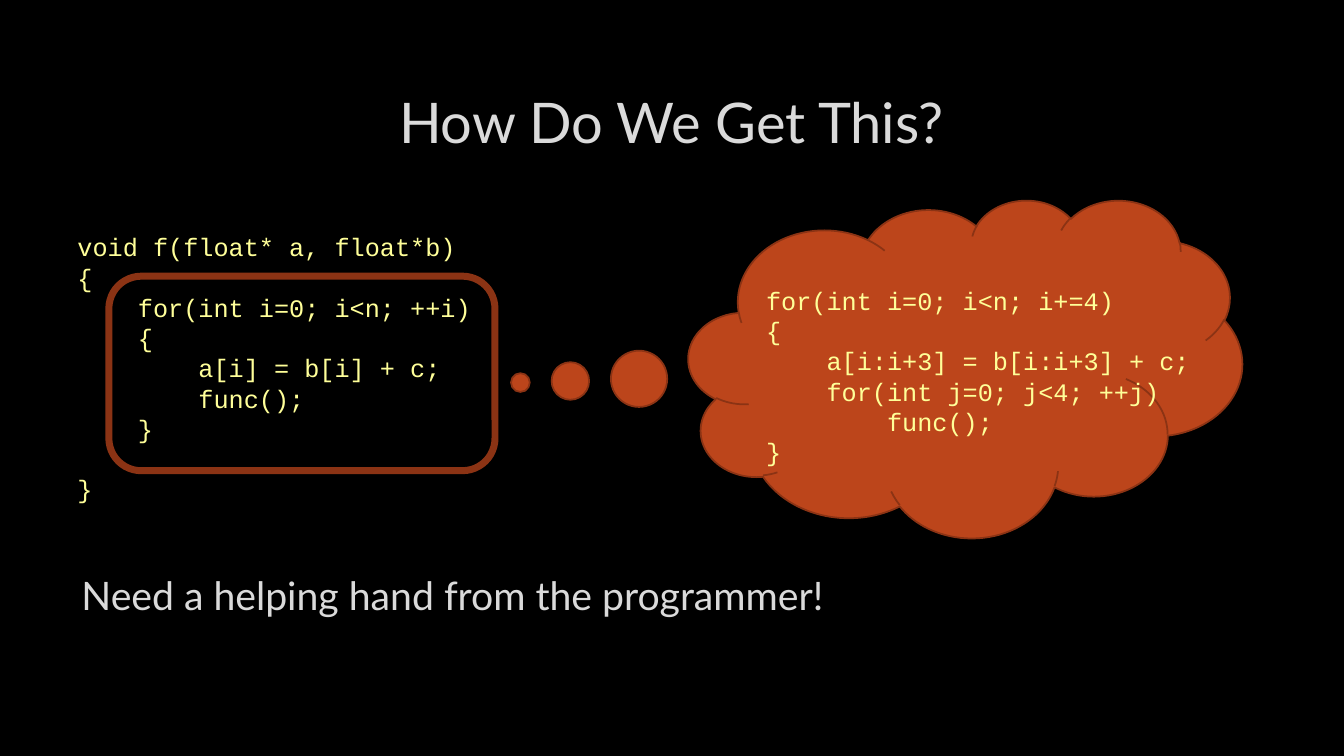
from typing import NamedTuple

from lxml import etree
from pptx import Presentation
from pptx.dml.color import RGBColor
from pptx.enum import shapes, text
from pptx.oxml import ns
from pptx.util import Inches, Pt

BACKGROUND = "000000"
HEADING = "DADADA"
CODE = "FFFF99"
CLOUD = "BC451B"
BORDER = "8B3314"
GLYPH_EDGE = "404040"


class Box(NamedTuple):
    left: float
    top: float
    width: float
    height: float

    def lengths(self) -> tuple:
        return tuple(Inches(value) for value in self)


class Listing(NamedTuple):
    box: Box
    lines: tuple
    gap_before_last: float = 0


class Outline(NamedTuple):
    preset: shapes.MSO_SHAPE
    box: Box
    line_width: float
    fill: str = ""
    adjustments: tuple = ()


def colour(value: str) -> RGBColor:
    return RGBColor.from_string(value)


def add_run(paragraph, words: str, font_name: str, size: float, hex_colour: str):
    run = paragraph.add_run()
    run.text = words
    run.font.name = font_name
    run.font.size = Pt(size)
    run.font.color.rgb = colour(hex_colour)
    return run


def add_lato_run(paragraph, words: str, size: float) -> None:
    """Add Lato text with a faint edge around its letters."""
    run = add_run(paragraph, words, "Lato", size, HEADING)
    edge = etree.Element(ns.qn("a:ln"), w=str(Pt(0.75)))
    fill = etree.SubElement(edge, ns.qn("a:solidFill"))
    edge_colour = etree.SubElement(fill, ns.qn("a:srgbClr"), val=GLYPH_EDGE)
    etree.SubElement(edge_colour, ns.qn("a:alpha"), val="10000")
    run.font._element.insert(0, edge)


def add_outline(slide, outline: Outline) -> None:
    shape = slide.shapes.add_shape(outline.preset, *outline.box.lengths())
    shape.shadow.inherit = False
    for index, value in enumerate(outline.adjustments):
        shape.adjustments[index] = value
    if outline.fill:
        shape.fill.solid()
        shape.fill.fore_color.rgb = colour(outline.fill)
    else:
        shape.fill.background()
    shape.line.color.rgb = colour(BORDER)
    shape.line.width = Pt(outline.line_width)


def add_text_frame(slide, box: Box):
    frame = slide.shapes.add_textbox(*box.lengths()).text_frame
    frame.word_wrap = True
    return frame


def add_listing(slide, listing: Listing) -> None:
    frame = add_text_frame(slide, listing.box)
    for index, line in enumerate(listing.lines):
        paragraph = frame.paragraphs[0] if index == 0 else frame.add_paragraph()
        add_run(paragraph, line, "Courier New", 18, CODE)
    if listing.gap_before_last:
        paragraph.space_before = Pt(listing.gap_before_last)


THOUGHT = Outline(shapes.MSO_SHAPE.CLOUD_CALLOUT, Box(6.83, 1.98, 5.49, 3.35),
                  1.25, CLOUD, (-0.804, 0.042))
LOOP_FRAME = Outline(shapes.MSO_SHAPE.ROUNDED_RECTANGLE,
                     Box(1.08, 2.74, 3.83, 1.93), 5)

SCALAR_CODE = Listing(Box(0.67, 2.25, 4.25, 2.83), (
    "void f(float* a, float*b)",
    "{",
    "    for(int i=0; i<n; ++i)",
    "    {",
    "        a[i] = b[i] + c;",
    "        func();",
    "    }",
    "}",
), gap_before_last=21)
VECTOR_CODE = Listing(Box(7.5, 2.78, 5.17, 1.92), (
    "for(int i=0; i<n; i+=4)",
    "{",
    "    a[i:i+3] = b[i:i+3] + c;",
    "    for(int j=0; j<4; ++j)",
    "        func();",
    "}",
))


def main() -> None:
    presentation = Presentation()
    presentation.slide_width = Inches(13.33)
    presentation.slide_height = Inches(7.5)
    slide = presentation.slides.add_slide(presentation.slide_layouts[5])
    slide.background.fill.solid()
    slide.background.fill.fore_color.rgb = colour(BACKGROUND)

    # Title
    title = slide.shapes.title
    title.left, title.top, title.width, title.height = Box(1, 0.67, 11.32, 1.06).lengths()
    title.text_frame.vertical_anchor = text.MSO_ANCHOR.MIDDLE
    title.text_frame.auto_size = text.MSO_AUTO_SIZE.NONE
    heading = title.text_frame.paragraphs[0]
    heading.alignment = text.PP_ALIGN.CENTER
    add_lato_run(heading, "How Do We Get This?", 40)

    # Thought cloud, code and the frame around the loop
    add_outline(slide, THOUGHT)
    for listing in (SCALAR_CODE, VECTOR_CODE):
        add_listing(slide, listing)
    add_outline(slide, LOOP_FRAME)

    # Conclusion
    conclusion = add_text_frame(slide, Box(0.71, 5.62, 11.28, 0.7)).paragraphs[0]
    add_lato_run(conclusion, "Need a helping hand from the programmer!", 28)

    presentation.save("out.pptx")


if __name__ == "__main__":
    main()
